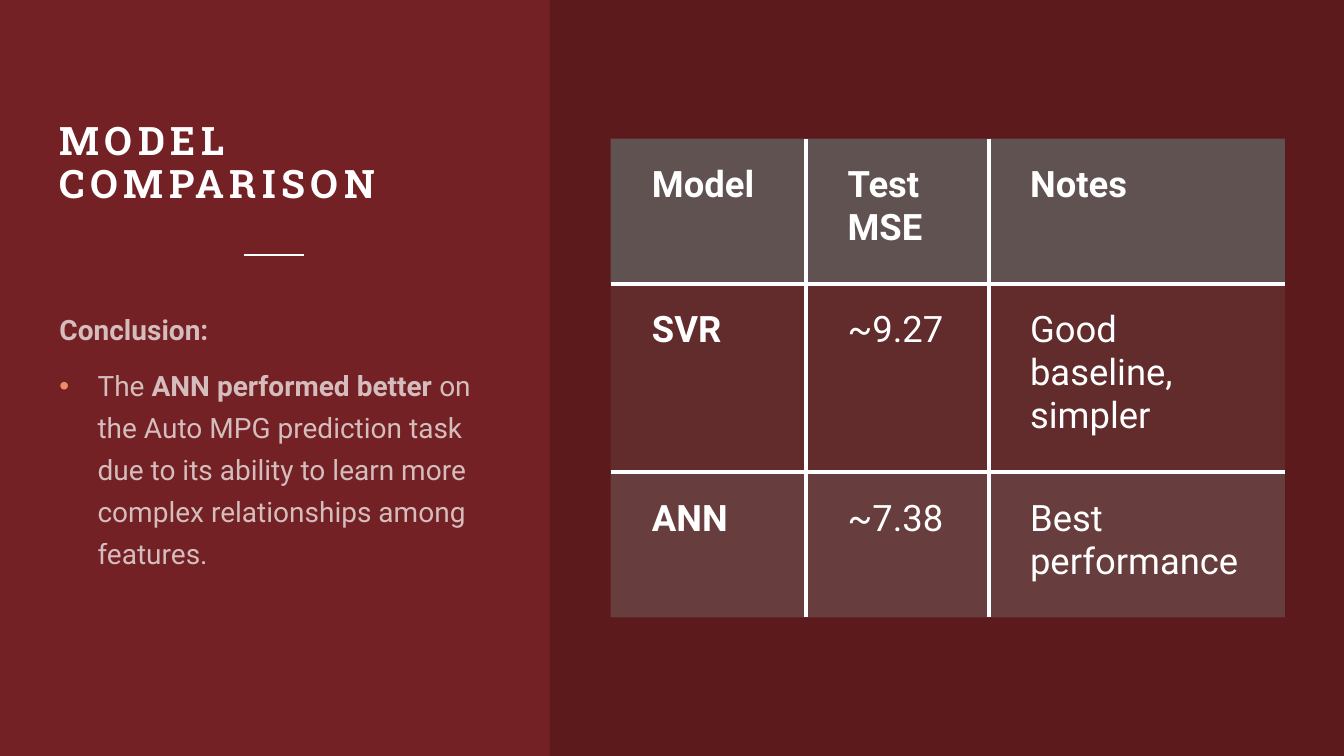
from lxml.etree import SubElement
from pptx import Presentation
from pptx.dml.color import RGBColor
from pptx.enum.shapes import MSO_CONNECTOR, MSO_SHAPE
from pptx.enum.text import MSO_ANCHOR, MSO_AUTO_SIZE, PP_ALIGN
from pptx.oxml.ns import qn
from pptx.util import Cm, Pt

COLORS = {
    "background": "732124",
    "white": "FFFFFF",
    "panel": "000000",
    "bullet": "EF8C6A",
    "header": "636B68",
    "row": "878E8B",
}


def paint(fill, color, opacity=100):
    fill.solid()
    fill.fore_color.rgb = RGBColor.from_string(COLORS[color])
    if opacity < 100:
        for rgb in fill._xPr.iter(qn("a:srgbClr")):
            SubElement(rgb, qn("a:alpha"), val=str(opacity * 1000))


def add_run(paragraph, text, size, bold, font="Roboto", opacity=100):
    run = paragraph.add_run()
    run.text = text
    run.font.name = font
    run.font.size = Pt(size)
    run.font.bold = bold
    paint(run.font.fill, "white", opacity)
    return run


prs = Presentation()
prs.slide_width, prs.slide_height = Cm(33.87), Cm(19.05)
slide = prs.slides.add_slide(prs.slide_layouts[5])
paint(slide.background.fill, "background")

title = slide.shapes.title
title.left, title.top, title.width, title.height = Cm(1.5), Cm(1.5), Cm(10.8), Cm(3.71)
conclusion = slide.shapes.add_textbox(Cm(1.5), Cm(7.67), Cm(10.8), Cm(8.36))
for block, anchor in ((title, MSO_ANCHOR.BOTTOM), (conclusion, MSO_ANCHOR.TOP)):
    frame = block.text_frame
    frame.margin_left = frame.margin_top = frame.margin_right = frame.margin_bottom = 0
    frame.word_wrap = True
    frame.auto_size = MSO_AUTO_SIZE.NONE
    frame.vertical_anchor = anchor

heading = title.text_frame.paragraphs[0]
heading.alignment = PP_ALIGN.LEFT
heading.line_spacing = 0.9
heading_run = add_run(heading, "MODEL COMPARISON", 28, True, "Roboto Slab")
heading_run.font._element.set("spc", "400")

divider = slide.shapes.add_connector(MSO_CONNECTOR.STRAIGHT, Cm(6.15), Cm(6.43), Cm(7.65), Cm(6.43))
paint(divider.line.fill, "white")
divider.line.width = Pt(1)
SubElement(divider._element.spPr, qn("a:effectLst"))

label = conclusion.text_frame.paragraphs[0]
finding = conclusion.text_frame.add_paragraph()
for paragraph in (label, finding):
    paragraph.line_spacing = 1.25
    paragraph.space_before = Pt(10)
add_run(label, "Conclusion:", 20, True, opacity=70)
for text, bold in (
    ("The ", False),
    ("ANN performed better", True),
    (" on the Auto MPG prediction task due to its ability to learn more "
     "complex relationships among features.", False),
):
    add_run(finding, text, 20, bold, opacity=70)
finding_format = finding._p.get_or_add_pPr()
finding_format.set("marL", str(Cm(0.96)))
finding_format.set("indent", str(-Cm(0.96)))
bullet_color = SubElement(finding_format, qn("a:buClr"))
SubElement(bullet_color, qn("a:srgbClr"), val=COLORS["bullet"])
SubElement(finding_format, qn("a:buFont"), typeface="Arial")
SubElement(finding_format, qn("a:buChar"), char="•")

panel = slide.shapes.add_shape(MSO_SHAPE.RECTANGLE, Cm(13.85), 0, Cm(20.02), Cm(19.05))
panel.shadow.inherit = False
paint(panel.fill, "panel", 20)
panel.line.fill.background()

results = [
    ("Model", "Test MSE", "Notes"),
    ("SVR", "~9.27", "Good baseline, simpler"),
    ("ANN", "~7.38", "Best performance"),
]
row_fills = [("header", 70), ("row", 15), ("row", 30)]
column_widths = [4.93, 4.6, 7.46]
row_heights = [3.66, 4.75, 3.66]
comparison = slide.shapes.add_table(
    3, 3, Cm(15.39), Cm(3.49), Cm(sum(column_widths)), Cm(sum(row_heights))
).table
comparison.first_row = comparison.horz_banding = False
for column, width in zip(comparison.columns, column_widths):
    column.width = Cm(width)
for row, height in zip(comparison.rows, row_heights):
    row.height = Cm(height)

for r, texts in enumerate(results):
    for c, text in enumerate(texts):
        cell = comparison.cell(r, c)
        cell.margin_left = Cm(1.04)
        cell.margin_top = cell.margin_right = cell.margin_bottom = Cm(0.64)
        cell.vertical_anchor = MSO_ANCHOR.TOP
        add_run(cell.text_frame.paragraphs[0], text, 26, r == 0 or c == 0)
        borders = cell._tc.get_or_add_tcPr()
        for side, inner in (("L", c > 0), ("R", c < 2), ("T", r > 0), ("B", r < 2)):
            edge = SubElement(borders, qn(f"a:ln{side}"), w=str(Pt(3)))
            if inner:
                edge_fill = SubElement(edge, qn("a:solidFill"))
                SubElement(edge_fill, qn("a:srgbClr"), val=COLORS["white"])
            else:
                SubElement(edge, qn("a:noFill"))
        paint(cell.fill, *row_fills[r])

prs.save("out.pptx")
